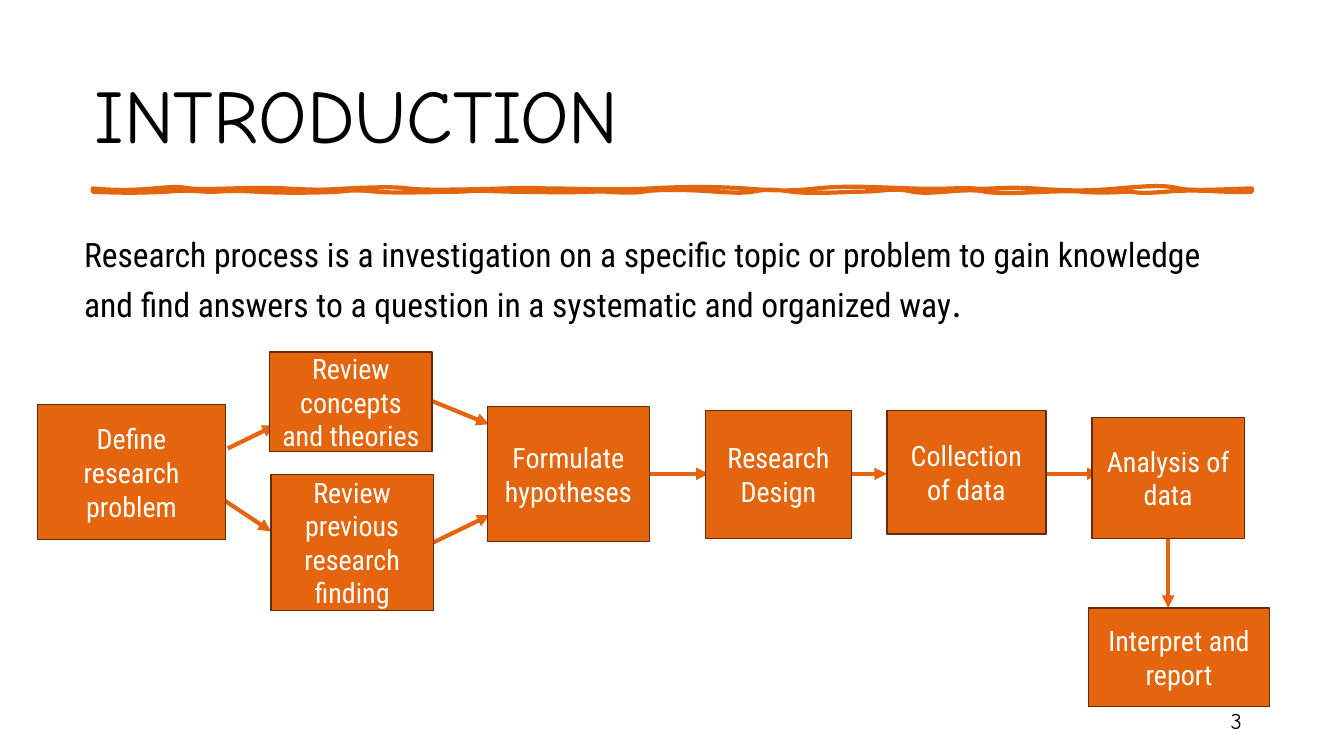
from lxml import etree
from pptx import Presentation
from pptx import util as u
from pptx.dml.color import RGBColor
from pptx.enum import shapes, text
from pptx.oxml import ns

ORANGE = RGBColor(0xE4, 0x65, 0x0E)
BROWN = RGBColor(0x64, 0x2C, 0x06)
BLACK = RGBColor(0, 0, 0)
WHITE = RGBColor(0xFF, 0xFF, 0xFF)
HAND_FONT = "Comic Neue"
TEXT_FONT = "Roboto Condensed"


def add_span(para, words, font, size, color):
    span = para.add_run()
    span.text = words
    span.font.name = font
    span.font.size = u.Pt(size)
    span.font.color.rgb = color


deck = Presentation()
deck.slide_width, deck.slide_height = u.Cm(33.87), u.Cm(19.05)
page = deck.slides.add_slide(deck.slide_layouts[5])

# Hand-drawn rule under the title: two control points and the end x of each curve
LEFT, RIGHT, TOP, BOTTOM = 2.34, 31.55, 4.75, 4.83
upper_curves = [
    (2.97, 4.8, 3.25, 4.8, 3.86), (4.47, 4.7, 4.45, 4.7, 4.8),
    (5.18, 4.8, 6.32, 4.7, 7.21), (8.1, 4.8, 8.2, 4.78, 8.76),
    (9.32, 4.72, 9.96, 4.7, 10.29), (10.62, 4.8, 11.63, 4.78, 12.7),
    (13.77, 4.72, 13.46, 4.75, 13.94), (14.4, 4.75, 15.47, 4.8, 16.36),
    (17.22, 4.7, 18.06, 4.7, 18.77), (19.46, 4.8, 19.86, 4.83, 20.57),
    (21.31, 4.67, 22.07, 4.72, 22.99), (23.93, 4.78, 24.13, 4.72, 24.54),
    (24.94, 4.78, 25.35, 4.7, 26.06), (26.77, 4.8, 27.31, 4.83, 28.17),
    (29.06, 4.67, 29.39, 4.67, 29.72), (30.05, 4.83, 31.14, 4.75, RIGHT),
]
right_end = [(RIGHT, 4.78, RIGHT, 4.8, RIGHT)]
lower_curves = [
    (30.96, 4.88, 30.3, 4.75, 29.41), (28.55, 4.9, 28.68, 4.83, 28.47),
    (28.27, 4.83, 27.84, 4.88, 27.23), (26.62, 4.78, 25.34, 4.93, 24.82),
    (24.31, 4.72, 23.47, 4.93, 22.99), (22.53, 4.72, 22.2, 4.83, 21.74),
    (21.31, 4.83, 20.5, 4.9, 19.94), (19.38, 4.75, 19.28, 4.78, 18.97),
    (18.69, 4.88, 18.42, 4.85, 18.03), (17.63, 4.8, 16.69, 4.75, 16.21),
    (15.72, 4.9, 15.27, 4.8, 14.96), (14.66, 4.85, 13.87, 4.85, 12.85),
    (11.81, 4.8, 12.17, 4.8, 11.61), (11.02, 4.83, 10.06, 4.88, 9.47),
    (8.92, 4.78, 8.86, 4.8, 8.53), (8.23, 4.85, 7.29, 4.88, 6.43),
    (5.54, 4.78, 5.66, 4.85, 5.18), (4.67, 4.8, 4.67, 4.8, 4.22),
    (3.78, 4.85, 3.23, 4.88, LEFT),
]
upper_ends = [(u.Cm(curve[4]), u.Cm(TOP)) for curve in upper_curves]
lower_ends = [(u.Cm(curve[4]), u.Cm(BOTTOM)) for curve in right_end + lower_curves]
outline = page.shapes.build_freeform(u.Cm(LEFT), u.Cm(TOP))
outline.add_line_segments(upper_ends + lower_ends)
rule = outline.convert_to_shape()
rule.shadow.inherit = False
rule.fill.background()
rule.line.color.rgb = ORANGE
rule.line.width = u.Pt(3)

# Bend each straight segment into its curve
segments = list(rule._element.iter(ns.qn("a:lnTo")))
for segment, (x1, y1, x2, y2, _) in zip(segments, upper_curves + right_end + lower_curves):
    segment.tag = ns.qn("a:cubicBezTo")
    for place, (x, y) in enumerate([(x1, y1), (x2, y2)]):
        point = etree.Element(ns.qn("a:pt"), x=str(u.Cm(x - LEFT)), y=str(u.Cm(y - TOP)))
        segment.insert(place, point)

title = page.shapes.title
title.left, title.top, title.width, title.height = u.Cm(2.13), u.Cm(1.02), u.Cm(29.21), u.Cm(3.68)
title.text_frame.vertical_anchor = text.MSO_ANCHOR.MIDDLE
title.text_frame.word_wrap = True
para = title.text_frame.paragraphs[0]
para.alignment = text.PP_ALIGN.LEFT
add_span(para, "INTRODUCTION", HAND_FONT, 54, BLACK)

number = page.shapes.add_textbox(u.Cm(23.93), u.Cm(17.65), u.Cm(7.62), u.Cm(1.02))
number.text_frame.word_wrap = True
number.text_frame.vertical_anchor = text.MSO_ANCHOR.MIDDLE
para = number.text_frame.paragraphs[0]
para.alignment = text.PP_ALIGN.RIGHT
add_span(para, "3", HAND_FONT, 16, BLACK)

body = page.shapes.add_textbox(u.Cm(1.87), u.Cm(5.66), u.Cm(29.21), u.Cm(11.4))
body.text_frame.word_wrap = True
para = body.text_frame.paragraphs[0]
para.line_spacing = 1.1
add_span(para, "Research process is a investigation on a specific topic or problem to gain "
         "knowledge and find answers to a question in a systematic and organized way",
         TEXT_FONT, 24, BLACK)
add_span(para, ".", TEXT_FONT, 28, BLACK)

# Arrows lie behind the boxes: start x, start y, end x, end y
arrows = [
    (5.74, 11.3, 6.93, 10.72), (5.64, 12.6, 6.83, 13.39),
    (10.9, 10.11, 12.32, 10.69), (10.92, 13.67, 12.34, 12.98),
    (16.38, 11.94, 17.86, 11.94), (21.46, 11.94, 22.35, 11.94),
    (26.37, 11.94, 27.71, 11.94), (29.44, 13.56, 29.44, 15.32),
]
for ends in arrows:
    arrow = page.shapes.add_connector(shapes.MSO_CONNECTOR.STRAIGHT, *map(u.Cm, ends))
    arrow.line.color.rgb = ORANGE
    arrow.line.width = u.Pt(3)
    line = arrow._element.spPr.find(ns.qn("a:ln"))
    etree.SubElement(line, ns.qn("a:tailEnd"), type="triangle")
    etree.SubElement(arrow._element.spPr, ns.qn("a:effectLst"))

steps = [
    ("Define research problem", 0.94, 10.2, 4.75, 3.4),
    ("Review previous research finding", 6.83, 11.95, 4.09, 3.43),
    ("Review concepts and theories", 6.8, 8.87, 4.09, 2.51),
    ("Formulate hypotheses", 12.28, 10.25, 4.09, 3.4),
    ("Research Design", 17.78, 10.34, 3.68, 3.23),
    ("Collection of data", 22.35, 10.34, 4.01, 3.12),
    ("Analysis of data", 27.52, 10.52, 3.84, 3.05),
    ("Interpret and report", 27.43, 15.32, 4.57, 2.49),
]
for words, *place in steps:
    box = page.shapes.add_shape(shapes.MSO_SHAPE.RECTANGLE, *map(u.Cm, place))
    box.shadow.inherit = False
    box.fill.solid()
    box.fill.fore_color.rgb = ORANGE
    box.line.color.rgb = BROWN
    box.line.width = u.Pt(1)
    box.text_frame.word_wrap = True
    box.text_frame.vertical_anchor = text.MSO_ANCHOR.MIDDLE
    para = box.text_frame.paragraphs[0]
    para.alignment = text.PP_ALIGN.CENTER
    add_span(para, words, TEXT_FONT, 20, WHITE)

deck.save("out.pptx")
